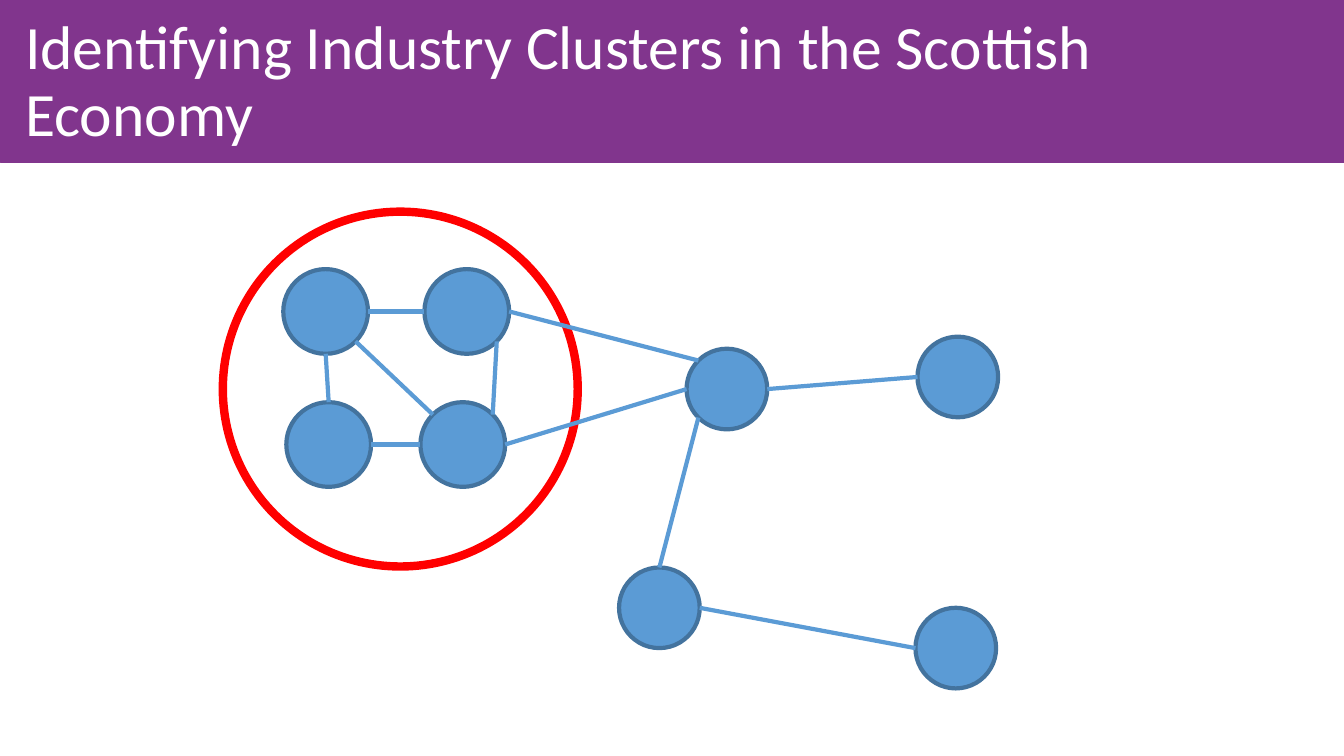
from math import cos, radians, sin

from lxml import etree
from pptx import Presentation
from pptx.dml.color import RGBColor
from pptx.enum.shapes import MSO_CONNECTOR, MSO_SHAPE
from pptx.enum.text import MSO_ANCHOR
from pptx.oxml.ns import qn
from pptx.util import Inches, Pt

RECTANGLE, OVAL = MSO_SHAPE.RECTANGLE, MSO_SHAPE.OVAL
STRAIGHT = MSO_CONNECTOR.STRAIGHT
MIDDLE = MSO_ANCHOR.MIDDLE

PURPLE = RGBColor(0x81, 0x35, 0x8D)
BLUE = RGBColor(0x5B, 0x9B, 0xD5)
DARK_BLUE = RGBColor(0x43, 0x73, 0x9E)
RED = RGBColor(0xFF, 0x00, 0x00)
WHITE = RGBColor(0xFF, 0xFF, 0xFF)

# Industries: left, top, diameter
INDUSTRIES = {
    "hub": (6.81, 3.46, 0.8),
    "south": (6.14, 5.63, 0.8),
    "east": (9.1, 3.34, 0.8),
    "southeast": (9.08, 6.03, 0.8),
    "cluster_nw": (2.81, 2.67, 0.84),
    "cluster_sw": (2.84, 3.99, 0.84),
    "cluster_ne": (4.21, 2.67, 0.84),
    "cluster_se": (4.17, 3.99, 0.84),
}
CLUSTER_RING = (2.21, 2.1, 3.52)

# Clockwise angles on a circle, starting at its right side
RIGHT, LOWER_RIGHT, BOTTOM, LOWER_LEFT = 0, 45, 90, 135
LEFT, UPPER_LEFT, TOP, UPPER_RIGHT = 180, 225, 270, 315

# Links: industry and the angle where the link meets it, at both ends
LINKS = [
    ("hub", LEFT, "cluster_se", RIGHT),
    ("hub", RIGHT, "east", LEFT),
    ("hub", UPPER_LEFT, "cluster_ne", RIGHT),
    ("south", TOP, "hub", LOWER_LEFT),
    ("south", RIGHT, "southeast", LEFT),
    ("cluster_se", LEFT, "cluster_sw", RIGHT),
    ("cluster_se", UPPER_RIGHT, "cluster_ne", LOWER_RIGHT),
    ("cluster_sw", TOP, "cluster_nw", BOTTOM),
    ("cluster_se", UPPER_LEFT, "cluster_nw", LOWER_RIGHT),
    ("cluster_ne", LEFT, "cluster_nw", RIGHT),
]


def write_text(frame, text, *, size, color, font="Calibri", line_spacing=1.0):
    paragraph = frame.paragraphs[0]
    paragraph.line_spacing = line_spacing
    run = paragraph.add_run()
    run.text = text
    run.font.name = font
    run.font.size = Pt(size)
    run.font.color.rgb = color


def rim_point(industry, angle):
    left, top, diameter = INDUSTRIES[industry]
    radius = diameter / 2
    turn = radians(angle)
    return (Inches(left + radius + radius * cos(turn)),
            Inches(top + radius + radius * sin(turn)))


class NetworkSlide:
    link_width = 3

    def __init__(self, slide):
        self.shapes = slide.shapes

    def shape(self, kind, left, top, width, height, line, weight, fill=None):
        shape = self.shapes.add_shape(
            kind, Inches(left), Inches(top), Inches(width), Inches(height))
        shape.shadow.inherit = False
        if fill is None:
            shape.fill.background()
        else:
            shape.fill.solid()
            shape.fill.fore_color.rgb = fill
        shape.line.color.rgb = line
        shape.line.width = Pt(weight)

    def circle(self, left, top, diameter, line, weight, fill=None):
        self.shape(OVAL, left, top, diameter, diameter, line, weight, fill)

    def link(self, start, end):
        link = self.shapes.add_connector(STRAIGHT, *start, *end)
        link.line.color.rgb = BLUE
        link.line.width = Pt(self.link_width)
        etree.SubElement(link._element.spPr, qn("a:effectLst"))

    def title(self, text, left, top, width, height):
        box = self.shapes.add_textbox(
            Inches(left), Inches(top), Inches(width), Inches(height))
        box.text_frame.word_wrap = True
        box.text_frame.vertical_anchor = MIDDLE
        write_text(box.text_frame, text, size=44, color=WHITE, line_spacing=0.9)


def main():
    deck = Presentation()
    deck.slide_width, deck.slide_height = Inches(13.33), Inches(7.5)
    network = NetworkSlide(deck.slides.add_slide(deck.slide_layouts[6]))

    # Title band
    network.shape(RECTANGLE, 0, -0.01, 13.33, 1.62, PURPLE, 0.5, PURPLE)
    network.title("Identifying Industry Clusters in the Scottish Economy",
                  0.15, 0.1, 13.18, 1.45)

    # Industries and the ring around the cluster
    network.circle(*CLUSTER_RING, RED, 6)
    for place in INDUSTRIES.values():
        network.circle(*place, DARK_BLUE, 3, BLUE)

    # Links between industries
    for source, source_angle, target, target_angle in LINKS:
        network.link(rim_point(source, source_angle),
                     rim_point(target, target_angle))

    deck.save("out.pptx")


if __name__ == "__main__":
    main()
